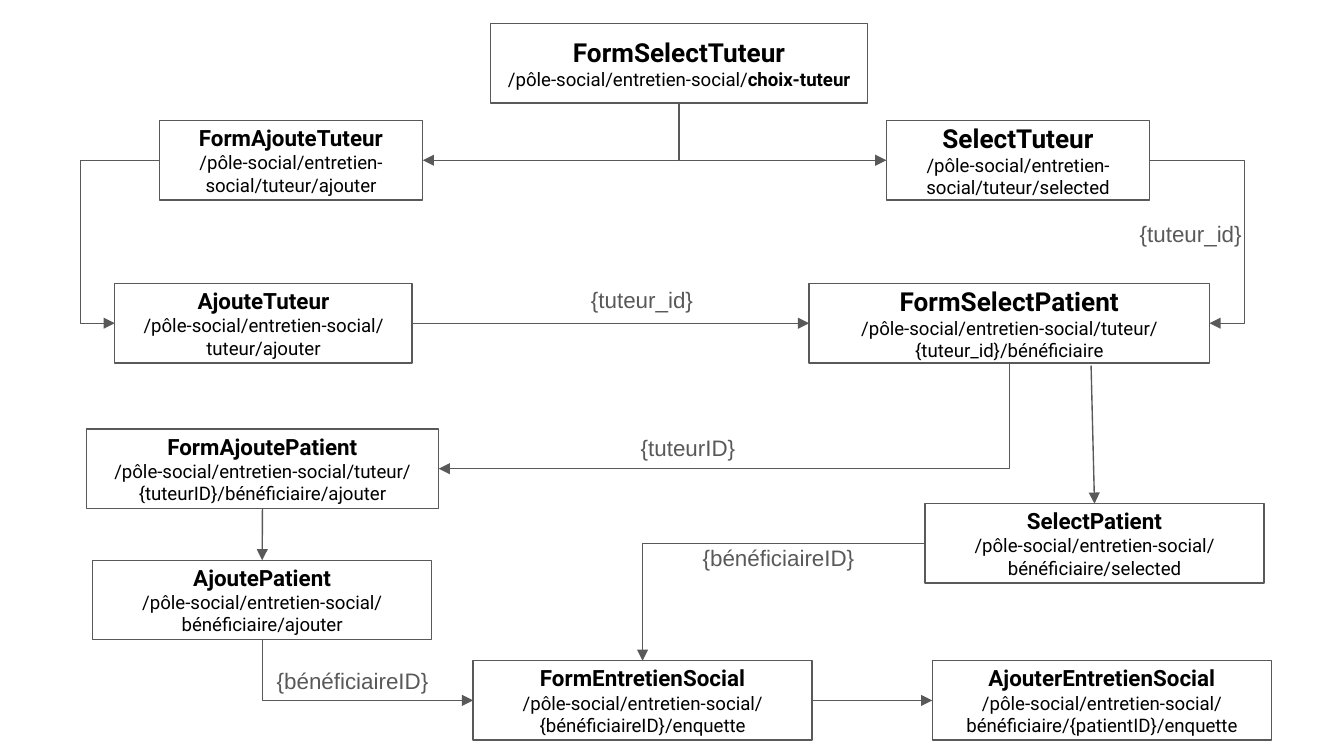
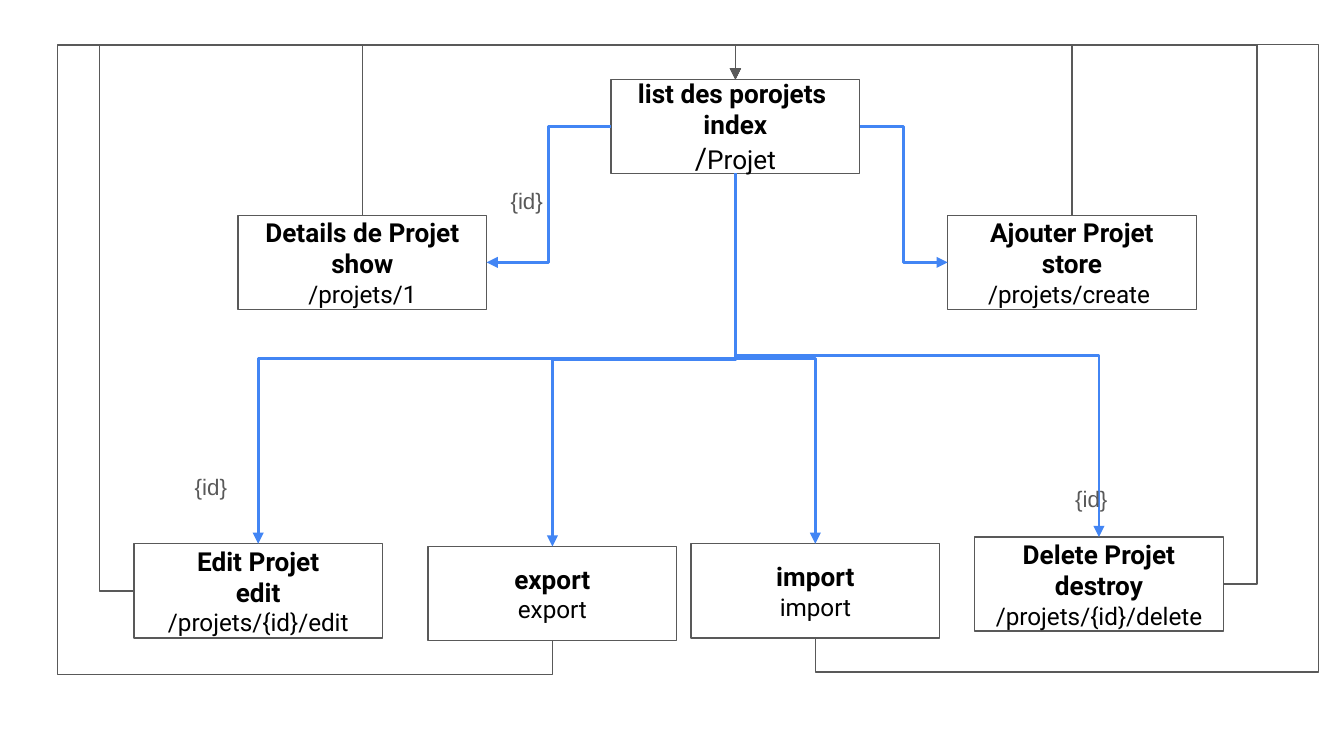
from dataclasses import dataclass
from typing import Optional

from lxml import etree
from pptx import Presentation
from pptx.dml.color import RGBColor
from pptx.enum.shapes import MSO_CONNECTOR, MSO_SHAPE
from pptx.enum.text import MSO_ANCHOR, MSO_AUTO_SIZE, PP_ALIGN
from pptx.oxml.ns import qn
from pptx.util import Cm, Pt

RECTANGLE = MSO_SHAPE.RECTANGLE
STRAIGHT, ELBOW = MSO_CONNECTOR.STRAIGHT, MSO_CONNECTOR.ELBOW
MIDDLE = MSO_ANCHOR.MIDDLE
CENTER = PP_ALIGN.CENTER
FIT_SHAPE = MSO_AUTO_SIZE.SHAPE_TO_FIT_TEXT

COLORS = {"outline": "595959", "label": "595959", "text": "000000", "action": "4285F4"}
BOX_FONT, LABEL_FONT = "Roboto", "Arial"
INSET = Cm(0.25)
LABEL_HEIGHT = 1.02

# Connection sites of a rectangle
TOP, LEFT, BOTTOM, RIGHT = range(4)
HALFWAY = None


@dataclass(frozen=True)
class TextRun:
    text: str
    size: float
    bold: bool = False


@dataclass(frozen=True)
class Box:
    """A page of the application; its last title is its key."""
    titles: tuple[str, ...]
    route: tuple[TextRun, ...]
    left: float
    top: float
    width: float
    height: float
    title_size: float


@dataclass(frozen=True)
class Link:
    """An arrow; bends are page positions in cm, alternating between axes."""
    source: str
    source_side: int
    target: str
    target_side: int
    bends: tuple[Optional[float], ...] = ()
    straight: bool = False
    start: Optional[tuple[float, float]] = None
    color: str = "outline"
    weight: float = 0.75


@dataclass(frozen=True)
class Label:
    text: str
    left: float
    top: float
    width: float


def page(name: str, route: str, left: float, top: float, width: float,
         title_size: float = 12, bold_tail: str = "") -> Box:
    runs = (TextRun(route, 10),)
    if bold_tail:
        runs += (TextRun(bold_tail, 10, True),)
    return Box((name,), runs, left, top, width, 1.5, title_size)


def action(titles: tuple[str, ...], route: str, left: float, top: float) -> Box:
    return Box(titles, (TextRun(route, 13),), left, top, 4.7, 1.78, 14)


def action_link(side: int, target: str, target_side: int) -> Link:
    return Link("index", side, target, target_side, (HALFWAY,), color="action", weight=1.5)


def return_link(source: str, side: int, *bends: float) -> Link:
    return Link(source, side, "index", TOP, bends + (RETURN_Y,))


# Slide 1: social interview
SOCIAL = "/pôle-social/entretien-social/"
TUTOR_BOXES = [
    page("FormSelectTuteur", SOCIAL, 9.27, 0.45, 7.13, 14, "choix-tuteur"),
    page("FormAjouteTuteur", SOCIAL + "tuteur/ajouter", 3.01, 2.28, 4.98),
    page("SelectTuteur", SOCIAL + "tuteur/selected", 16.75, 2.28, 4.98, 14),
    page("AjouteTuteur", SOCIAL + "tuteur/ajouter", 2.17, 5.36, 5.62),
    page("FormSelectPatient", SOCIAL + "tuteur/{tuteur_id}/bénéficiaire",
         15.29, 5.36, 7.57, 14),
    page("FormAjoutePatient", SOCIAL + "tuteur/{tuteurID}/bénéficiaire/ajouter",
         1.63, 8.11, 6.66),
    page("SelectPatient", SOCIAL + "bénéficiaire/selected", 17.48, 9.52, 6.41),
    page("AjoutePatient", SOCIAL + "bénéficiaire/ajouter", 1.75, 10.59, 6.41),
    page("FormEntretienSocial", SOCIAL + "{bénéficiaireID}/enquette", 8.94, 12.49, 6.41),
    page("AjouterEntretienSocial", SOCIAL + "bénéficiaire/{patientID}/enquette",
         17.62, 12.49, 6.41),
]
TUTOR_LINKS = [
    Link("FormSelectTuteur", BOTTOM, "FormAjouteTuteur", RIGHT),
    Link("FormSelectTuteur", BOTTOM, "SelectTuteur", LEFT),
    Link("FormAjouteTuteur", LEFT, "AjouteTuteur", LEFT, (1.52,)),
    Link("SelectTuteur", RIGHT, "FormSelectPatient", RIGHT, (23.52,)),
    Link("AjouteTuteur", RIGHT, "FormSelectPatient", LEFT, straight=True),
    Link("FormSelectPatient", BOTTOM, "FormAjoutePatient", RIGHT),
    Link("FormSelectPatient", BOTTOM, "SelectPatient", TOP,
         straight=True, start=(20.62, 6.91)),
    Link("FormAjoutePatient", BOTTOM, "AjoutePatient", TOP, straight=True),
    Link("SelectPatient", LEFT, "FormEntretienSocial", TOP),
    Link("AjoutePatient", BOTTOM, "FormEntretienSocial", LEFT),
    Link("FormEntretienSocial", RIGHT, "AjouterEntretienSocial", LEFT, straight=True),
]
TUTOR_LABELS = [
    Label("{tuteur_id}", 21.29, 3.91, 2.9),
    Label("{tuteur_id}", 10.92, 5.16, 2.9),
    Label("{tuteurID}", 11.86, 7.95, 2.9),
    Label("{bénéficiaireID}", 13.03, 10.03, 3.56),
    Label("{bénéficiaireID}", 4.98, 12.37, 3.56),
]

# Slide 2: project pages
RETURN_Y = 0.85
PROJECT_BOXES = [
    Box(("list des porojets ", "index"), (TextRun("/", 16), TextRun("Projet", 14)),
        11.55, 1.5, 4.7, 1.78, 14),
    action(("Details de Projet", "show"), "/projets/1", 4.5, 4.07),
    action(("Ajouter Projet", "store"), "/projets/create ", 17.91, 4.07),
    action(("Edit Projet", "edit"), "/projets/{id}/edit", 2.53, 10.28),
    action(("export",), "export", 8.09, 10.33),
    action(("import",), "import", 13.06, 10.28),
    action(("Delete Projet", "destroy"), "/projets/{id}/delete", 18.42, 10.15),
]
PROJECT_LINKS = [
    action_link(RIGHT, "store", LEFT),
    action_link(LEFT, "show", RIGHT),
    *(action_link(BOTTOM, name, TOP) for name in ("edit", "destroy", "export", "import")),
    return_link("show", TOP),
    return_link("edit", LEFT, 1.88),
    return_link("export", BOTTOM, 12.75, 1.09),
    return_link("import", BOTTOM, 12.7, 24.92),
    return_link("destroy", RIGHT, 23.76),
    return_link("store", TOP),
]
PROJECT_LABELS = [
    Label("{id}", 9.4, 3.28, 2.74),
    Label("{id}", 3.43, 8.69, 2.74),
    Label("{id}", 20.07, 8.92, 2.74),
]


def color_of(name: str) -> RGBColor:
    return RGBColor.from_string(COLORS[name])


def format_run(run, size: float, bold: bool, font: str, color: str) -> None:
    run.font.size = Pt(size)
    run.font.bold = bold
    run.font.name = font
    run.font.color.rgb = color_of(color)


def prepare_frame(text_frame) -> None:
    text_frame.word_wrap = True
    text_frame.margin_left = text_frame.margin_right = INSET
    text_frame.margin_top = text_frame.margin_bottom = INSET


def draw_box(slide, box: Box):
    shape = slide.shapes.add_shape(
        RECTANGLE, Cm(box.left), Cm(box.top), Cm(box.width), Cm(box.height))
    shape.shadow.inherit = False
    shape.fill.background()
    shape.line.color.rgb = color_of("outline")
    shape.line.width = Pt(0.75)
    text_frame = shape.text_frame
    prepare_frame(text_frame)
    text_frame.vertical_anchor = MIDDLE
    lines = [(TextRun(title, box.title_size, True),) for title in box.titles]
    lines.append(box.route)
    for index, line in enumerate(lines):
        paragraph = text_frame.add_paragraph() if index else text_frame.paragraphs[0]
        paragraph.alignment = CENTER
        for part in line:
            run = paragraph.add_run()
            run.text = part.text
            format_run(run, part.size, part.bold, BOX_FONT, "text")
    return shape


def draw_label(slide, label: Label) -> None:
    shape = slide.shapes.add_textbox(
        Cm(label.left), Cm(label.top), Cm(label.width), Cm(LABEL_HEIGHT))
    text_frame = shape.text_frame
    prepare_frame(text_frame)
    text_frame.auto_size = FIT_SHAPE
    text_frame.text = label.text
    format_run(text_frame.paragraphs[0].runs[0], 12, False, LABEL_FONT, "label")


def site(shape, side: int) -> tuple[int, int]:
    """Middle of one side of a shape."""
    x = shape.left + {LEFT: 0, RIGHT: shape.width}.get(side, shape.width // 2)
    y = shape.top + {TOP: 0, BOTTOM: shape.height}.get(side, shape.height // 2)
    return x, y


def bend_connector(connector, link: Link, start: tuple[int, int], end: tuple[int, int]) -> None:
    """Turn the connector so that it leaves its side, and place its bends."""
    delta_x, delta_y = end[0] - start[0], end[1] - start[1]
    vertical = link.source_side in (TOP, BOTTOM)
    if vertical:
        rotation = 270 if delta_x > 0 else 90
        flipped = (delta_x > 0) == (delta_y > 0)
        width, height = abs(delta_y), abs(delta_x)
    else:
        rotation = 180 if delta_y < 0 else 0
        flipped = (delta_x < 0) != (delta_y < 0)
        width, height = abs(delta_x), abs(delta_y)
    connector.left = (start[0] + end[0] - width) // 2
    connector.top = (start[1] + end[1] - height) // 2
    connector.width, connector.height = width, height

    properties = connector.element.spPr
    transform = properties.find(qn("a:xfrm"))
    for name in ("flipH", "flipV"):
        transform.attrib.pop(name, None)
    transform.set("rot", str(rotation * 60000))
    if flipped:
        transform.set("flipH", "1")

    geometry = properties.find(qn("a:prstGeom"))
    geometry.set("prst", f"bentConnector{len(link.bends) + 2}")
    adjustments = geometry.find(qn("a:avLst"))
    for index, bend in enumerate(link.bends):
        axis = (index + vertical) % 2
        share = 0.5
        if bend is not HALFWAY:
            share = (Cm(bend) - start[axis]) / (end[axis] - start[axis])
        guide = etree.SubElement(adjustments, qn("a:gd"))
        guide.set("name", f"adj{index + 1}")
        guide.set("fmla", f"val {round(share * 100000)}")


def draw_link(slide, link: Link, shapes: dict) -> None:
    source, target = shapes[link.source], shapes[link.target]
    start, end = site(source, link.source_side), site(target, link.target_side)
    if link.start:
        start = Cm(link.start[0]), Cm(link.start[1])
    connector = slide.shapes.add_connector(STRAIGHT if link.straight else ELBOW, *start, *end)
    if not link.start:
        connector.begin_connect(source, link.source_side)
    connector.end_connect(target, link.target_side)
    if not link.straight:
        bend_connector(connector, link, start, end)
    connector.line.color.rgb = color_of(link.color)
    connector.line.width = Pt(link.weight)
    # Arrowhead and no shadow
    properties = connector.element.spPr
    arrowhead = etree.SubElement(properties.find(qn("a:ln")), qn("a:tailEnd"))
    arrowhead.set("type", "triangle")
    etree.SubElement(properties, qn("a:effectLst"))


def draw_diagram(presentation, boxes: list[Box], links: list[Link],
                 labels: list[Label]) -> None:
    slide = presentation.slides.add_slide(presentation.slide_layouts[6])
    shapes = {box.titles[-1]: draw_box(slide, box) for box in boxes}
    for link in links:
        draw_link(slide, link, shapes)
    for label in labels:
        draw_label(slide, label)


def main() -> None:
    presentation = Presentation()
    presentation.slide_width, presentation.slide_height = Cm(25.4), Cm(14.29)
    draw_diagram(presentation, TUTOR_BOXES, TUTOR_LINKS, TUTOR_LABELS)
    draw_diagram(presentation, PROJECT_BOXES, PROJECT_LINKS, PROJECT_LABELS)
    presentation.save("out.pptx")


if __name__ == "__main__":
    main()
